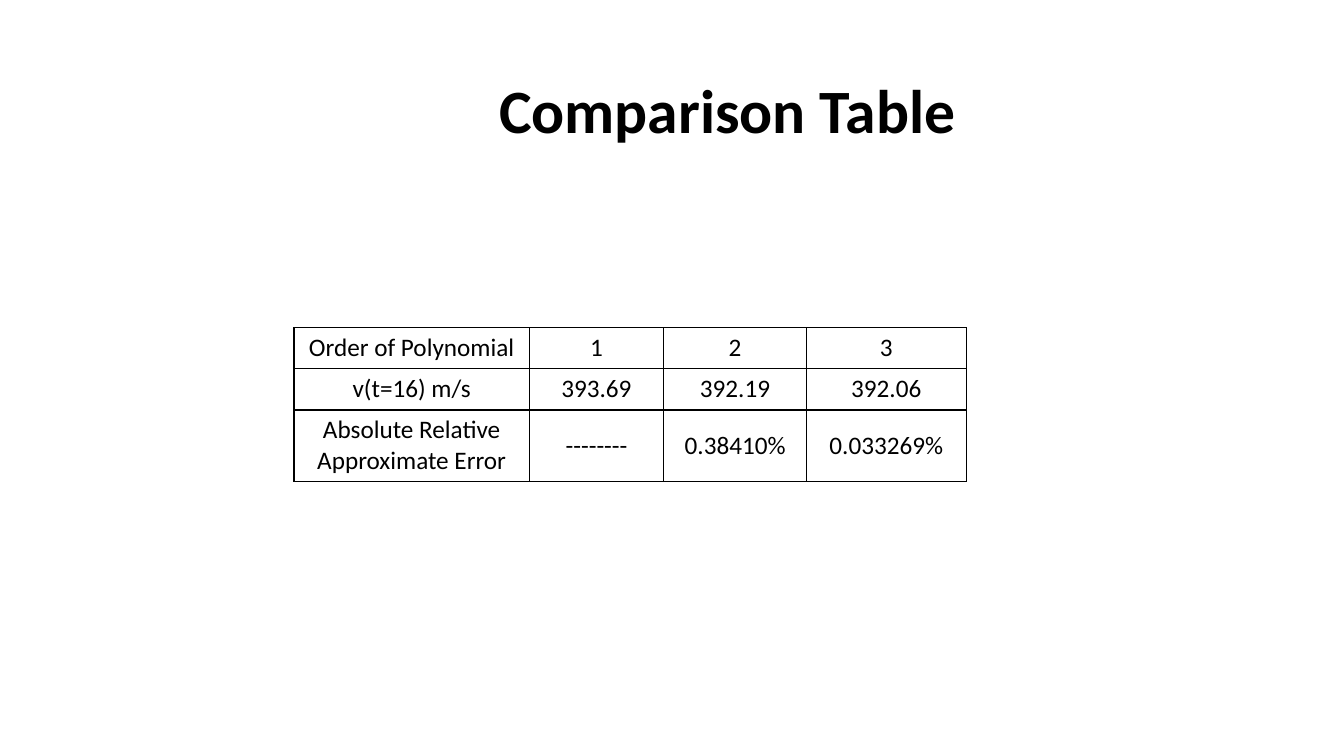
from dataclasses import dataclass

from lxml.etree import SubElement as Sub
from pptx import Presentation
from pptx.dml.color import RGBColor as Color
from pptx.enum.text import MSO_ANCHOR as Anchor, PP_ALIGN as Align
from pptx.oxml.ns import qn
from pptx.util import Inches, Pt


@dataclass(frozen=True)
class Theme:
    """Colours, font and type sizes of the slide."""
    ink: str = "000000"
    font: str = "Calibri"
    head: int = 44
    cell: int = 18
    rule: int = 1


class Page:
    """Slide on a grid of twelve units to the inch."""

    def __init__(self, deck, theme):
        """Add a title-only slide to the deck."""
        self.theme = theme
        self.slide = deck.slides.add_slide(deck.slide_layouts[5])

    def span(self, units):
        """Turn grid units into a length."""
        return Inches(units / 12)

    def label(self, frame, text, size, bold=False):
        """Put one centred run in a text frame."""
        para = frame.paragraphs[0]
        para.alignment = Align.CENTER
        run = para.add_run()
        run.text = text
        font = run.font
        font.name, font.size, font.bold = self.theme.font, Pt(size), bold
        font.color.rgb = Color.from_string(self.theme.ink)
        return para

    def title(self, text, *box):
        """Place and fill the title placeholder."""
        head = self.slide.shapes.title
        head.left, head.top, head.width, head.height = map(self.span, box)
        frame = head.text_frame
        frame.word_wrap = True
        frame.vertical_anchor = Anchor.MIDDLE
        self.label(frame, text, self.theme.head, True).line_spacing = 0.9

    def edge(self, cell):
        """Rule all four sides of a cell."""
        props = cell._tc.get_or_add_tcPr()
        for side in "LRTB":
            line = Sub(props, qn(f"a:ln{side}"), w=str(Pt(self.theme.rule)))
            fill = Sub(line, qn("a:solidFill"))
            Sub(fill, qn("a:srgbClr"), val=self.theme.ink)

    def table(self, data, left, top, wide, high):
        """Draw a ruled table from rows of text."""
        box = map(self.span, (left, top, sum(wide), sum(high)))
        grid = self.slide.shapes.add_table(len(high), len(wide), *box).table
        grid.first_row = grid.horz_banding = False
        for col, units in zip(grid.columns, wide):
            col.width = self.span(units)
        for row, units, texts in zip(grid.rows, high, data):
            row.height = self.span(units)
            for cell, text in zip(row.cells, texts):
                self.edge(cell)
                cell.fill.background()
                cell.vertical_anchor = Anchor.MIDDLE
                self.label(cell.text_frame, text, self.theme.cell)


def main():
    """Build and save the slide."""
    deck = Presentation()
    deck.slide_width, deck.slide_height = Inches(13.33), Inches(7.5)
    page = Page(deck, Theme())
    page.title("Comparison Table", 24.1, 4.8, 125, 17.4)
    data = (
        ("Order of Polynomial", "1", "2", "3"),
        ("v(t=16) m/s", "393.69", "392.19", "392.06"),
        ("Absolute Relative Approximate Error",
         "--------", "0.38410%", "0.033269%"),
    )
    page.table(data, 35, 39, (28, 16, 17, 19), (4.9, 4.9, 8.5))
    deck.save("out.pptx")


if __name__ == "__main__":
    main()
